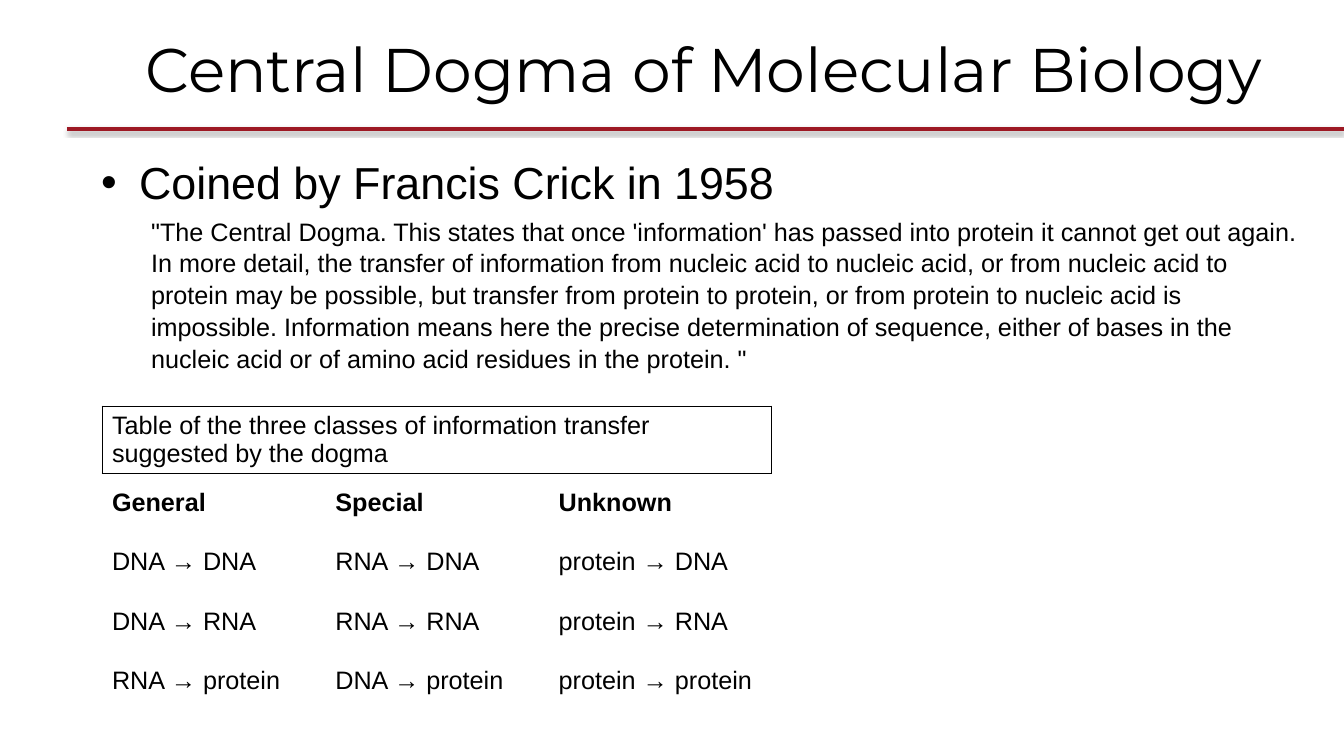
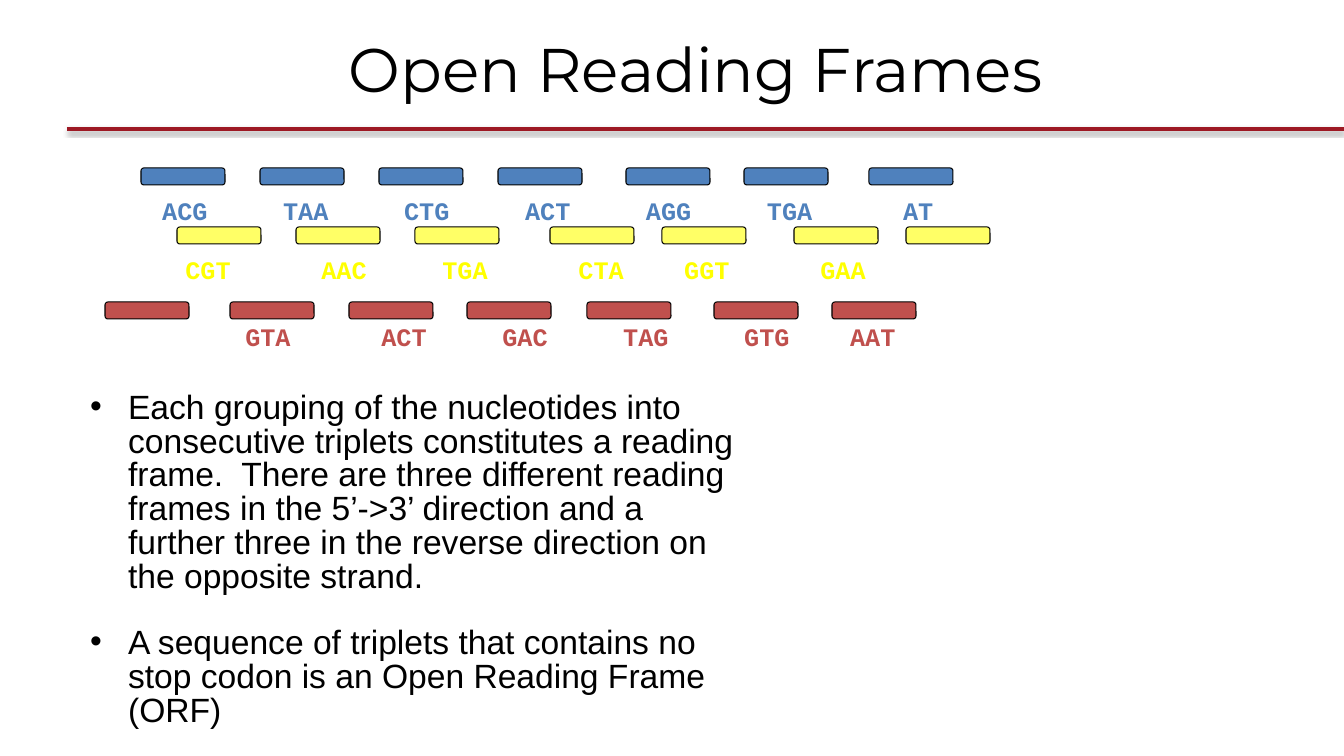
from lxml import etree
from pptx import Presentation
from pptx import util as u
from pptx.dml.color import RGBColor
from pptx.enum import shapes, text
from pptx.oxml import parse_xml
from pptx.oxml.ns import nsdecls, qn

EMU_PER_PX = 914400 / 100.8
BLACK, CRIMSON = "000000", "9D1924"
BLUE, PALE_YELLOW, YELLOW, RED = "4F81BD", "FFFF66", "FFFF00", "C0504D"
NO_TABLE_STYLE = "{2D5ABB26-0587-4C30-8999-92F81FD0307C}"
MONO_ADVANCE = 10.8  # width in points of one 18 pt Courier New character


def px(length):
    return u.Emu(round(length * EMU_PER_PX))


def colour(value):
    return RGBColor.from_string(value)


def assign(target, values):
    for name, value in values.items():
        setattr(target, name, value)


def place(shape, left, top, width, height):
    assign(shape, {"left": px(left), "top": px(top),
                   "width": px(width), "height": px(height)})


class Deck:
    """Holds the shared style and the slide being built."""

    def __init__(self):
        self.deck = Presentation()
        assign(self.deck, {"slide_width": px(1344), "slide_height": px(756)})
        self.page = None

    def new_page(self, title):
        first = self.page is None
        self.page = self.deck.slides.add_slide(self.deck.slide_layouts[1])
        if first:
            self.add_master_rule()
        box = self.page.shapes.title
        place(box, 91, 21, 1226, 94)
        assign(box.text_frame, {"auto_size": text.MSO_AUTO_SIZE.NONE,
                                "vertical_anchor": text.MSO_ANCHOR.MIDDLE})
        para = box.text_frame.paragraphs[0]
        para.alignment = text.PP_ALIGN.CENTER
        self.add_words(para, title, 44, font="Montserrat")

    def add_master_rule(self):
        """Draw the shadowed title rule and move it to the slide master."""
        rule = self.page.shapes.add_connector(
            shapes.MSO_CONNECTOR.STRAIGHT, px(67), px(129), px(1344), px(129))
        rule.line.width = u.Pt(3)
        rule.line.color.rgb = colour(CRIMSON)
        rule.element.spPr.append(parse_xml(
            f'<a:effectLst {nsdecls("a")}><a:outerShdw blurRad="{u.Pt(3.1)}" '
            f'dist="{u.Pt(1.6)}" dir="5400000" rotWithShape="0">'
            f'<a:srgbClr val="{BLACK}"><a:alpha val="38000"/></a:srgbClr>'
            '</a:outerShdw></a:effectLst>'))
        self.deck.slide_master.shapes.element.append(rule.element)

    def add_words(self, para, words, size, font="Arial", ink=BLACK,
                  bold=False):
        span = para.add_run()
        span.text = words
        assign(span.font, {"name": font, "size": u.Pt(size), "bold": bold})
        span.font.color.rgb = colour(ink)

    def body(self, area, items):
        """Fill the body; an item is words, size, indent, bullet, format."""
        box = self.page.placeholders[1]
        place(box, *area)
        frame = box.text_frame
        frame.auto_size = text.MSO_AUTO_SIZE.NONE
        for index, (words, size, indent, bullet, values) in enumerate(items):
            para = frame.add_paragraph() if index else frame.paragraphs[0]
            props = para._p.get_or_add_pPr()
            props.set("marL", str(px(indent)))
            props.set("indent", str(px(-indent if bullet else 0)))
            if bullet:
                etree.SubElement(props, qn("a:buChar")).set("char", "•")
            else:
                etree.SubElement(props, qn("a:buNone"))
            assign(para, {"space_before": u.Pt(0), **values})
            self.add_words(para, words, size)

    def table(self, area, caption, rows, caption_height):
        """Table whose first row is a framed caption across all columns."""
        width, height = area[2:]
        columns = len(rows[0])
        frame = self.page.shapes.add_table(
            len(rows) + 1, columns, *map(px, area))
        table = frame.table
        assign(table, {"first_row": False, "horz_banding": False})
        table._tbl.tblPr.find(qn("a:tableStyleId")).text = NO_TABLE_STYLE
        for column in table.columns:
            column.width = px(width / columns)
        for index, row in enumerate(table.rows):
            row.height = px((height - caption_height) / len(rows)
                            if index else caption_height)
        table.cell(0, 0).merge(table.cell(0, columns - 1))
        for r, row in enumerate([[caption], *rows]):
            for c, words in enumerate(row):
                cell = table.cell(r, c)
                cell.vertical_anchor = text.MSO_ANCHOR.MIDDLE
                self.add_words(cell.text_frame.paragraphs[0], words, 18,
                               bold=r == 1)
        self.frame_cell(table.cell(0, 0))
        for cell in table.iter_cells():
            cell.fill.background()

    def frame_cell(self, cell):
        props = cell._tc.get_or_add_tcPr()
        for side in "LRTB":
            props.append(parse_xml(
                f'<a:ln{side} {nsdecls("a")} w="{u.Pt(0.75)}"><a:solidFill>'
                f'<a:srgbClr val="{BLACK}"/></a:solidFill></a:ln{side}>'))

    def reading_frame(self, bars, bar_top, fill, label, codons, ink):
        """Row of bars with codons set at character columns by tab stops."""
        group = self.page.shapes.add_group_shape()
        for left in bars:
            bar = group.shapes.add_shape(
                shapes.MSO_SHAPE.ROUNDED_RECTANGLE,
                px(left), px(bar_top), px(84), px(17))
            bar.shadow.inherit = False
            bar.fill.solid()
            bar.fill.fore_color.rgb = colour(fill)
            bar.line.color.rgb = colour(BLACK)
            bar.line.width = u.Pt(0.75)
        box = group.shapes.add_textbox(*map(px, (*label, 40)))
        box.text_frame.word_wrap = True
        para = box.text_frame.paragraphs[0]
        stops = etree.SubElement(para._p.get_or_add_pPr(), qn("a:tabLst"))
        for _, column in codons:
            etree.SubElement(stops, qn("a:tab"), algn="l",
                             pos=str(u.Pt(MONO_ADVANCE * column)))
        self.add_words(para, "".join("\t" + codon for codon, _ in codons), 18,
                       "Courier New", ink, bold=True)


def central_dogma(deck):
    deck.new_page("Central Dogma of Molecular Biology")
    deck.body((91, 150, 1226, 588), [
        ("Coined by Francis Crick in 1958", 32, 38, True, {}),
        ("\"The Central Dogma. This states that once 'information' has passed "
         "into protein it cannot get out again. In more detail, the transfer "
         "of information from nucleic acid to nucleic acid, or from nucleic "
         "acid to protein may be possible, but transfer from protein to "
         "protein, or from protein to nucleic acid is impossible. Information "
         "means here the precise determination of sequence, either of bases "
         "in the nucleic acid or of amino acid residues in the protein. \"",
         18, 50, False,
         {"level": 1, "space_before": u.Pt(4), "line_spacing": 1.05})])
    deck.table(
        (102, 406, 670, 305),
        "Table of the three classes of information transfer suggested by the "
        "dogma",
        [("General", "Special", "Unknown"),
         ("DNA → DNA", "RNA → DNA", "protein → DNA"),
         ("DNA → RNA", "RNA → RNA", "protein → RNA"),
         ("RNA → protein", "DNA → protein", "protein → protein")],
        caption_height=67)


def open_reading_frames(deck):
    deck.new_page("Open Reading Frames ")
    deck.body((80, 387, 666, 369), [
        ("Each grouping of the nucleotides into consecutive triplets "
         "constitutes a reading frame.  There are three different reading "
         "frames in the 5’->3’ direction and a further three in the reverse "
         "direction on the opposite strand.",
         24, 38, True, {"line_spacing": 0.84}),
        ("A sequence of triplets that contains no stop codon is an Open "
         "Reading Frame (ORF)",
         24, 38, True, {"line_spacing": 0.84, "space_before": u.Pt(23)})])
    deck.reading_frame(
        (141, 260, 379, 498, 626, 744, 869), 168, BLUE, (122, 190, 842),
        [("ACG", 2), ("TAA", 10), ("CTG", 18), ("ACT", 26), ("AGG", 34),
         ("TGA", 42), ("AT", 51)], BLUE)
    deck.reading_frame(
        (177, 296, 415, 550, 662, 794, 906), 227, PALE_YELLOW,
        (130, 249, 882),
        [("CGT", 3), ("AAC", 12), ("TGA", 20), ("CTA", 29), ("GGT", 36),
         ("GAA", 45)], YELLOW)
    deck.reading_frame(
        (105, 230, 349, 467, 587, 714, 832), 302, RED, (190, 316, 739),
        [("GTA", 3), ("ACT", 12), ("GAC", 20), ("TAG", 28), ("GTG", 36),
         ("AAT", 43)], RED)


def main():
    deck = Deck()
    central_dogma(deck)
    open_reading_frames(deck)
    deck.deck.save("out.pptx")


if __name__ == "__main__":
    main()
